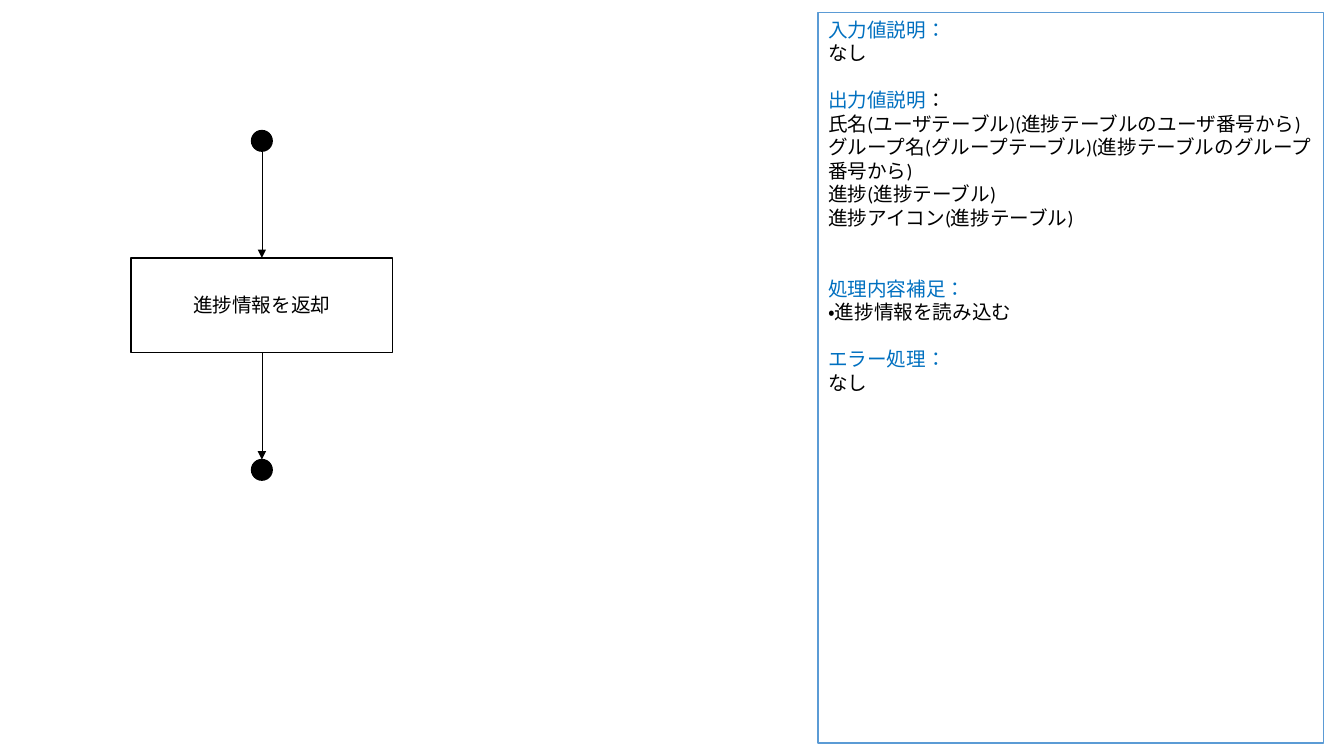
from lxml import etree
from pptx import Presentation
from pptx import util as u
from pptx.dml.color import RGBColor
from pptx.enum import lang, shapes, text
from pptx.oxml.ns import qn

COLORS = {"black": "000000", "white": "FFFFFF", "heading": "0070C0", "border": "5B9BD5"}
LINE_HEIGHT = 16.8


def add_node(kind, left, top, width, height, fill="white", line="black"):
    shape = slide.shapes.add_shape(kind, u.Cm(left), u.Cm(top), u.Cm(width), u.Cm(height))
    shape.shadow.inherit = False
    shape.fill.solid()
    shape.fill.fore_color.rgb = RGBColor.from_string(COLORS[fill])
    shape.line.color.rgb = RGBColor.from_string(COLORS[line])
    shape.line.width = u.Pt(1)
    return shape


def write_text(paragraph, content, color="black", align=text.PP_ALIGN.LEFT, blank_lines=0):
    paragraph.alignment = align
    paragraph.space_before = u.Pt(blank_lines * LINE_HEIGHT)
    run = paragraph.add_run()
    run.text = content
    run.font.name = "Calibri"
    run.font.size = u.Pt(14)
    run.font.language_id = lang.MSO_LANGUAGE_ID.JAPANESE
    run.font.color.rgb = RGBColor.from_string(COLORS[color])


presentation = Presentation()
presentation.slide_width = u.Cm(33.87)
presentation.slide_height = u.Cm(19.05)
slide = presentation.slides.add_slide(presentation.slide_layouts[6])

center = 6.6
dot = 0.52
start_top, end_top = 3.29, 11.58
step_top, step_width, step_height = 6.5, 6.6, 2.38

for top in (start_top, end_top):
    add_node(shapes.MSO_SHAPE.OVAL, center - dot / 2, top, dot, dot, fill="black")

step = add_node(shapes.MSO_SHAPE.FLOWCHART_PROCESS, center - step_width / 2, step_top, step_width, step_height)
step.text_frame.vertical_anchor = text.MSO_ANCHOR.MIDDLE
write_text(step.text_frame.paragraphs[0], "進捗情報を返却", align=text.PP_ALIGN.CENTER)

for begin, end in ((start_top + dot, step_top), (step_top + step_height, end_top)):
    arrow = slide.shapes.add_connector(
        shapes.MSO_CONNECTOR.STRAIGHT, u.Cm(center), u.Cm(begin), u.Cm(center), u.Cm(end)
    )
    arrow.line.color.rgb = RGBColor.from_string(COLORS["black"])
    arrow.line.width = u.Pt(0.5)
    etree.SubElement(arrow.line._get_or_add_ln(), qn("a:tailEnd"), type="triangle")
    etree.SubElement(arrow._element.spPr, qn("a:effectLst"))

sections = [
    (0, [("入力値説明：", "heading")], ["なし"]),
    (
        1,
        [("出力値説明", "heading"), ("：", "black")],
        [
            "氏名(ユーザテーブル)(進捗テーブルのユーザ番号から)",
            "グループ名(グループテーブル)(進捗テーブルのグループ番号から)",
            "進捗(進捗テーブル)",
            "進捗アイコン(進捗テーブル)",
        ],
    ),
    (2, [("処理内容補足：", "heading")], ["・進捗情報を読み込む"]),
    (1, [("エラー処理：", "heading")], ["なし"]),
]

panel = add_node(shapes.MSO_SHAPE.FLOWCHART_PROCESS, 20.78, 0.32, 12.83, 18.54, line="border")
panel.left, panel.top, panel.width, panel.height = u.Cm(20.62), u.Cm(0.32), u.Cm(12.73), u.Cm(18.4)
frame = panel.text_frame
frame.vertical_anchor = text.MSO_ANCHOR.TOP
paragraph = frame.paragraphs[0]
for blank_lines, heading, details in sections:
    if blank_lines:
        paragraph = frame.add_paragraph()
    for content, color in heading:
        write_text(paragraph, content, color=color, blank_lines=blank_lines)
    for detail in details:
        paragraph = frame.add_paragraph()
        write_text(paragraph, detail)

presentation.save("out.pptx")
